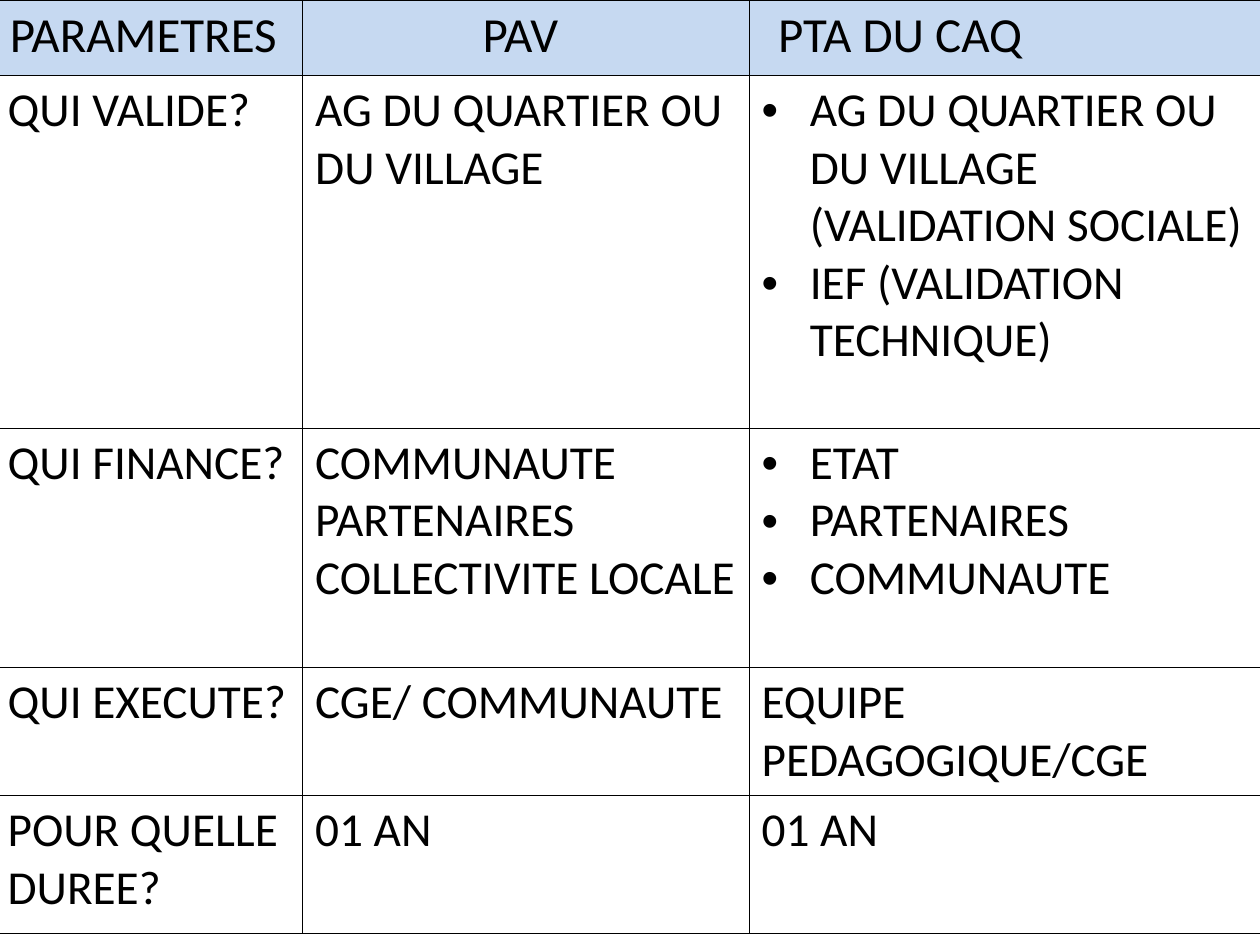
from pptx import Presentation
from pptx.dml.color import RGBColor
from pptx.enum.text import PP_ALIGN
from pptx.oxml import parse_xml
from pptx.oxml.ns import nsdecls
from pptx.util import Cm, Pt

FONT = "Calibri"
BLACK = "000000"
HEADER_FILL = "C6D9F1"
BULLET_INDENT = Cm(0.97)
COL_WIDTHS = [6.2, 9, 10.3]
ROW_HEIGHTS = [1.52, 7.11, 4.83, 2.54, 2.79]

HEADERS = ["PARAMETRES ", "PAV ", "PTA DU CAQ"]
# Each cell is a list of paragraphs; a tuple marks a bulleted list.
BODY = [
    [["QUI VALIDE?"],
     ["AG DU QUARTIER OU DU VILLAGE"],
     ("AG DU QUARTIER OU DU VILLAGE (VALIDATION SOCIALE)",
      "IEF (VALIDATION TECHNIQUE)")],
    [["QUI FINANCE?"],
     ["COMMUNAUTE", "PARTENAIRES", "COLLECTIVITE LOCALE"],
     ("ETAT", "PARTENAIRES", "COMMUNAUTE")],
    [["QUI EXECUTE?"], ["CGE/ COMMUNAUTE"], ["EQUIPE PEDAGOGIQUE/CGE"]],
    [["POUR QUELLE DUREE?"], ["01 AN"], ["01 AN"]],
]


def rgb(color):
    return RGBColor.from_string(color)


def add_bullet(p):
    pPr = p._p.get_or_add_pPr()
    pPr.set("marL", str(BULLET_INDENT))
    pPr.set("indent", str(-BULLET_INDENT))
    for xml in (f'<a:buClr {nsdecls("a")}><a:srgbClr val="{BLACK}"/></a:buClr>',
                f'<a:buFont {nsdecls("a")} typeface="Arial"/>',
                f'<a:buChar {nsdecls("a")} char="•"/>'):
        pPr.append(parse_xml(xml))


def set_borders(cell, color=BLACK, width=Pt(0.45)):
    tcPr = cell._tc.get_or_add_tcPr()
    for i, side in enumerate(("lnL", "lnR", "lnT", "lnB")):
        tcPr.insert(i, parse_xml(
            f'<a:{side} {nsdecls("a")} w="{width}"><a:solidFill>'
            f'<a:srgbClr val="{color}"/></a:solidFill></a:{side}>'))


def fill_cell(cell, lines, size, align=PP_ALIGN.LEFT, fill=None):
    set_borders(cell)
    if fill:
        cell.fill.solid()
        cell.fill.fore_color.rgb = rgb(fill)
    else:
        cell.fill.background()
    tf = cell.text_frame
    for i, line in enumerate(lines):
        p = tf.add_paragraph() if i else tf.paragraphs[0]
        p.alignment = align
        if isinstance(lines, tuple):
            add_bullet(p)
        r = p.add_run()
        r.text = line
        r.font.name = FONT
        r.font.size = Pt(size)
        r.font.color.rgb = rgb(BLACK)


def add_comparison_table(slide, left, top, width, height):
    """Place the PAV / PTA comparison grid in the given box."""
    table = slide.shapes.add_table(len(ROW_HEIGHTS), len(COL_WIDTHS),
                                   left, top, width, height).table
    table.first_row = table.horz_banding = False
    for col, w in zip(table.columns, COL_WIDTHS):
        col.width = int(width * w / sum(COL_WIDTHS))
    for row, h in zip(table.rows, ROW_HEIGHTS):
        row.height = int(height * h / sum(ROW_HEIGHTS))
    for c, header in enumerate(HEADERS):
        fill_cell(table.cell(0, c), [header], 28, PP_ALIGN.CENTER, HEADER_FILL)
    # The last heading is centred in the left part of its wide column.
    table.cell(0, 2).margin_right = Cm(4.47)
    for r, row in enumerate(BODY, start=1):
        for c, lines in enumerate(row):
            fill_cell(table.cell(r, c), lines, 27)


def main():
    prs = Presentation()
    prs.slide_width, prs.slide_height = Cm(25.4), Cm(19.05)
    slide = prs.slides.add_slide(prs.slide_layouts[6])
    add_comparison_table(slide, Cm(-0.1), Cm(0),
                         Cm(sum(COL_WIDTHS)), Cm(sum(ROW_HEIGHTS)))
    prs.save("out.pptx")


if __name__ == "__main__":
    main()
